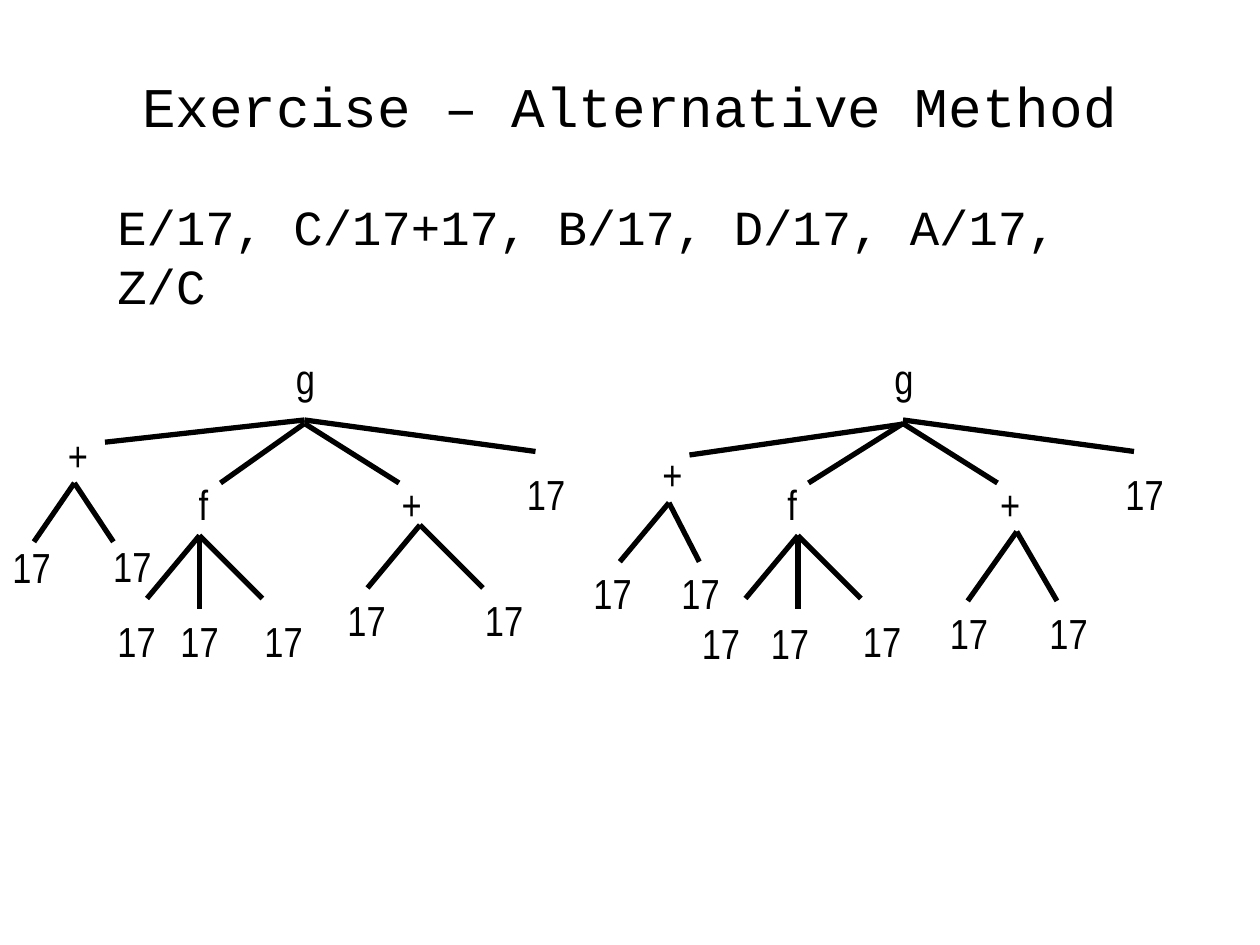
from lxml import etree
from pptx import Presentation
from pptx.dml.color import RGBColor
from pptx.enum.shapes import MSO_CONNECTOR
from pptx.enum.text import MSO_ANCHOR, PP_ALIGN
from pptx.oxml.ns import qn
from pptx.util import Pt

STRAIGHT = MSO_CONNECTOR.STRAIGHT
MIDDLE, TOP = MSO_ANCHOR.MIDDLE, MSO_ANCHOR.TOP
CENTER, LEFT = PP_ALIGN.CENTER, PP_ALIGN.LEFT
BLACK = RGBColor(0, 0, 0)
CODE_FONT, TREE_FONT = "Courier New", "Arial Narrow"

TITLE = "Exercise – Alternative Method"
SEQUENCE = "E/17, C/17+17, B/17, D/17, A/17, Z/C"

LABEL_WIDTHS = {"g": 36, "f": 22.5, "+": 28, "17": 42}
LABEL_HEIGHT = 36

# Each tree: label -> left and top of its boxes; branches: apex, then branch ends
TREES = [
    {
        "labels": {
            "g": [(162, 198)],
            "f": [(106.5, 270)],
            "+": [(31.7, 242), (222.5, 270)],
            "17": [(294, 264), (0, 306), (57.6, 305.3), (60, 348), (96, 348),
                   (144, 348), (191.5, 336), (270, 336)],
        },
        "branches": [
            ((174, 242), [(126, 276), (228, 276)]),
            ((174, 240), [(60, 252.7), (306, 258)]),
            ((42.5, 276), [(19.4, 309.6), (64.8, 309.6)]),
            ((114, 306), [(84, 342), (114, 348), (150, 342)]),
            ((240, 300), [(210, 336), (276, 336)]),
        ],
    },
    {
        "labels": {
            "g": [(504, 198)],
            "f": [(442.8, 270)],
            "+": [(371.5, 252.7), (564.5, 270)],
            "17": [(636, 264), (332, 321), (382.3, 321), (394, 349.2),
                   (433.4, 349.2), (486, 348), (535.7, 343.4), (592.6, 343.4)],
        },
        "branches": [
            ((516, 242), [(462, 276), (570, 276)]),
            ((518.4, 242), [(394, 260)]),
            ((516, 240), [(648, 258)]),
            ((382.3, 287.3), [(354.2, 321), (399.6, 321)]),
            ((456, 306), [(426, 342), (456, 348), (492, 342)]),
            ((581, 303.8), [(553, 343.4), (604, 343.4)]),
        ],
    },
]


def place(shape, left, top, width, height):
    shape.left, shape.top = Pt(left), Pt(top)
    shape.width, shape.height = Pt(width), Pt(height)


def write(shape, text, font_name, size, align=LEFT, anchor=TOP, wrap=True):
    frame = shape.text_frame
    frame.word_wrap = wrap
    frame.vertical_anchor = anchor
    paragraph = frame.paragraphs[0]
    paragraph.text = text
    paragraph.alignment = align
    paragraph.font.name = font_name
    paragraph.font.size = Pt(size)
    paragraph.font.color.rgb = BLACK


def add_text(slide, box, text, font_name, size, wrap=True):
    shape = slide.shapes.add_textbox(*map(Pt, box))
    write(shape, text, font_name, size, wrap=wrap)


def add_branch(slide, apex, end):
    line = slide.shapes.add_connector(STRAIGHT, *map(Pt, apex + end))
    line.line.color.rgb = BLACK
    line.line.width = Pt(3)
    etree.SubElement(line._element.spPr, qn("a:effectLst"))


def add_tree(slide, tree):
    for apex, ends in tree["branches"]:
        for end in ends:
            add_branch(slide, apex, end)
    for label, positions in tree["labels"].items():
        for left, top in positions:
            box = (left, top, LABEL_WIDTHS[label], LABEL_HEIGHT)
            add_text(slide, box, label, TREE_FONT, 24, wrap=False)


def main():
    presentation = Presentation()
    presentation.slide_width, presentation.slide_height = Pt(720), Pt(540)
    slide = presentation.slides.add_slide(presentation.slide_layouts[5])

    title = slide.shapes.title
    place(title, 54, 24, 612, 72)
    write(title, TITLE, CODE_FONT, 32, CENTER, MIDDLE)
    add_text(slide, (60, 109, 612, 71), SEQUENCE, CODE_FONT, 28)

    for tree in TREES:
        add_tree(slide, tree)
    presentation.save("out.pptx")


if __name__ == "__main__":
    main()
